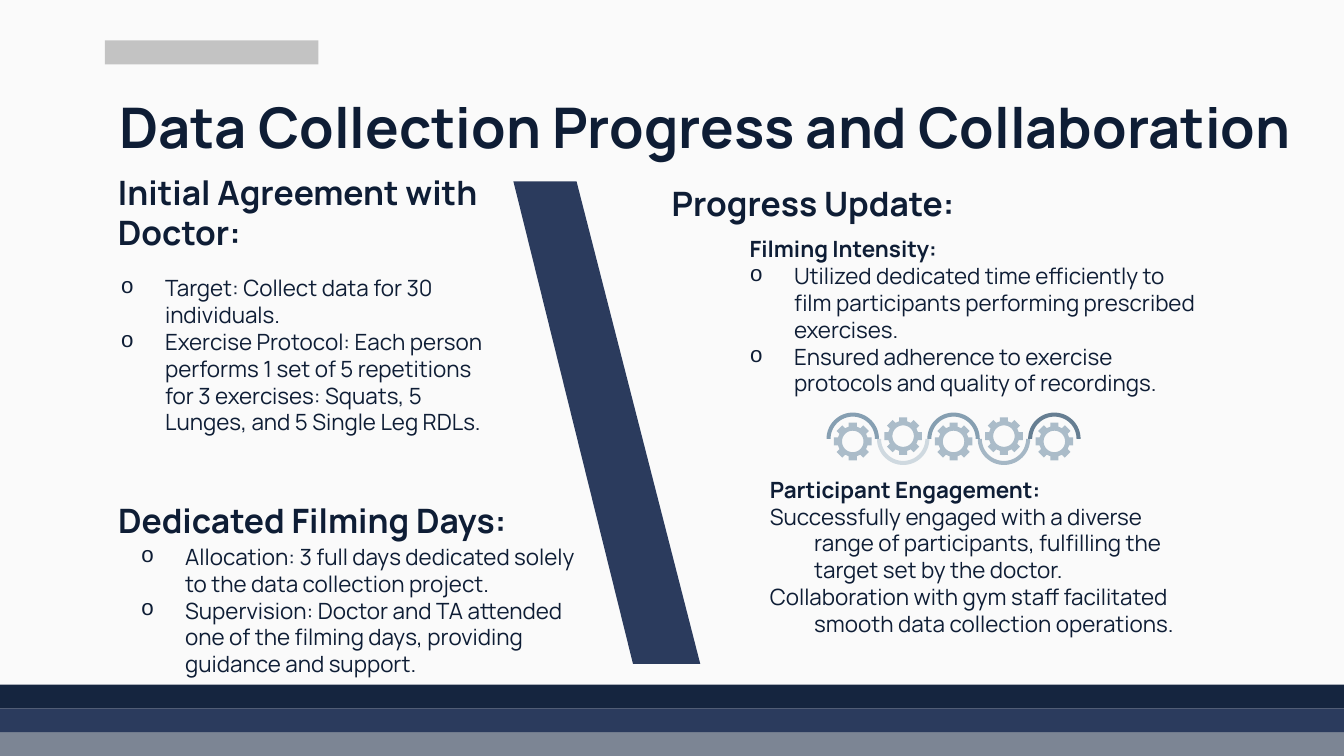
import math

from lxml import etree
from pptx import Presentation
from pptx.dml.color import RGBColor
from pptx.enum import shapes, text
from pptx.oxml.ns import qn
from pptx.util import Inches, Pt

FONT = "Manrope"
INK = "0E1D35"
NAVY = "2B3B5D"


def color(value):
    """Turn a hex string into a colour."""
    return RGBColor.from_string(value)


def paint(sp, fill):
    """Give a shape a flat fill with no line or shadow."""
    sp.shadow.inherit = False
    sp.fill.solid()
    sp.fill.fore_color.rgb = color(fill)
    sp.line.fill.background()


def add_bar(parent, x, y, w, h, fill):
    """Add a plain rectangle."""
    sp = parent.add_shape(shapes.MSO_SHAPE.RECTANGLE, Inches(x), Inches(y), Inches(w), Inches(h))
    paint(sp, fill)


def add_outline(parent, contours, fill):
    """Add a filled freeform made of closed contours."""
    contours = [[(Inches(x), Inches(y)) for x, y in points] for points in contours]
    builder = parent.build_freeform(*contours[0][0])
    for i, points in enumerate(contours):
        if i:
            builder.move_to(*points[0])
        builder.add_line_segments(points[1:], close=True)
    paint(builder.convert_to_shape(), fill)


def arc(cx, cy, radius, start, end, steps=32):
    """List points along an arc given in degrees."""
    angles = [math.radians(start + (end - start) * i / steps) for i in range(steps + 1)]
    return [(cx + radius * math.cos(a), cy + radius * math.sin(a)) for a in angles]


def add_bullet(p):
    """Put a round letter bullet on a paragraph."""
    pPr = p._p.get_or_add_pPr()
    clr = etree.SubElement(pPr, qn("a:buClr"))
    etree.SubElement(clr, qn("a:srgbClr")).set("val", INK)
    etree.SubElement(pPr, qn("a:buFont")).set("typeface", "Courier New")
    etree.SubElement(pPr, qn("a:buChar")).set("char", "o")


def add_text(s, box, lines, size, anchor=text.MSO_ANCHOR.TOP):
    """Add a text box from lines of wording, bold, hanging and bullet flags."""
    tf = s.shapes.add_textbox(*map(Inches, box)).text_frame
    tf.word_wrap = True
    tf.vertical_anchor = anchor
    tf.margin_left = tf.margin_right = tf.margin_top = tf.margin_bottom = Inches(0.1)
    for i, (wording, bold, hanging, bullet) in enumerate(lines):
        p = tf.add_paragraph() if i else tf.paragraphs[0]
        if hanging:
            pPr = p._p.get_or_add_pPr()
            pPr.set("marL", str(Inches(0.5)))
            pPr.set("indent", str(Inches(-0.33)))
        if bullet:
            add_bullet(p)
        r = p.add_run()
        r.text = wording
        r.font.name = FONT
        r.font.size = Pt(size)
        r.font.bold = bold
        r.font.color.rgb = color(INK)


def add_heading(s, box, wording, hanging=False):
    """Add a section heading that sits on the bottom of its box."""
    add_text(s, box, [(wording, True, hanging, False)], 18, text.MSO_ANCHOR.BOTTOM)


def add_body(s, box, items, lead=None, bullet=True):
    """Add hanging items, under a bold lead line if there is one."""
    lines = [(lead, True, True, False)] if lead else []
    add_text(s, box, lines + [(item, False, True, bullet) for item in items], 12)


def add_frame(s, w, h):
    """Add the top tab and the three bottom bands."""
    add_bar(s.shapes, 0.78, 0.3, 1.59, 0.18, "C3C3C3")
    bands = s.shapes.add_group_shape().shapes
    step = 0.53 / 3
    for i, fill in enumerate(("7C8594", NAVY, "15253F")):
        add_bar(bands, 0, h - step * (i + 1), w, step, fill)


def add_divider(s, x, y, w, h):
    """Add the slanted bar between the columns."""
    add_outline(s.shapes, [[(x, y), (x + 0.47, y), (x + w, y + h), (x + w - 0.5, y + h)]], NAVY)


def add_gear(parent, cx, cy):
    """Add a gear with eight teeth and a round hole."""
    rim = []
    for i in range(8):
        a = math.radians(45 * i)
        for out, side in ((0.11, -0.03), (0.14, -0.03), (0.14, 0.03), (0.11, 0.03)):
            rim.append((cx + out * math.cos(a) - side * math.sin(a),
                        cy + out * math.sin(a) + side * math.cos(a)))
    add_outline(parent, [rim, arc(cx, cy, 0.08, 360, 0)], "ABBCC9")


def add_gear_chain(s, x, y, w, h):
    """Add a row of gears under and over a wave of half rings."""
    chain = s.shapes.add_group_shape().shapes
    fills = ("869FB2", "CFD9E0", "869FB1", "A5B7C5", "667E92")
    outer, inner = h / 2, h / 2 - 0.03
    step = (w - 2 * outer) / (len(fills) - 1)
    cy = y + h / 2
    for i, fill in enumerate(fills):
        cx = x + outer + i * step
        turn = -180 if i % 2 else 180
        ring = arc(cx, cy, outer, turn, turn * 2) + arc(cx, cy, inner, turn * 2, turn)
        add_outline(chain, [ring], fill)
        add_gear(chain, cx, cy + (-0.02 if i % 2 else 0.02))


def add_left_column(s, x, y):
    """Add the agreement and the filming days."""
    add_heading(s, (x, y + 0.22, 3.16, 0.41), "Initial Agreement with Doctor:")
    add_body(s, (x - 0.15, y + 0.59, 3.11, 1.62), [
        "Target: Collect data for 30 individuals.",
        "Exercise Protocol: Each person performs 1 set of 5 repetitions for 3 exercises: "
        "Squats, 5 Lunges, and 5 Single Leg RDLs.",
    ])
    add_heading(s, (x, y + 2.36, 3.45, 0.41), "Dedicated Filming Days:")
    add_body(s, (x, y + 2.59, 3.73, 1.76), [
        "Allocation: 3 full days dedicated solely to the data collection project.",
        "Supervision: Doctor and TA attended one of the filming days, "
        "providing guidance and support.",
    ])


def add_right_column(s, x, y):
    """Add the progress update with its gear chain."""
    add_heading(s, (x, y, 2.56, 0.41), "Progress Update:", hanging=True)
    add_body(s, (x + 0.58, y + 0.3, 3.76, 1.62), [
        "Utilized dedicated time efficiently to film participants performing "
        "prescribed exercises.",
        "Ensured adherence to exercise protocols and quality of recordings.",
    ], lead="Filming Intensity:")
    add_gear_chain(s, x + 1.42, y + 1.72, 1.89, 0.39)
    add_body(s, (x + 0.73, y + 2.09, 3.61, 1.61), [
        "Successfully engaged with a diverse range of participants, fulfilling the "
        "target set by the doctor.",
        "Collaboration with gym staff facilitated smooth data collection operations.",
    ], lead="Participant Engagement:", bullet=False)


def main():
    """Build the slide and save it."""
    prs = Presentation()
    w = 10
    h = w * 9 / 16
    prs.slide_width, prs.slide_height = Inches(w), Inches(h)
    s = prs.slides.add_slide(prs.slide_layouts[6])
    s.background.fill.solid()
    s.background.fill.fore_color.rgb = color("FAFAFA")
    add_frame(s, w, h)
    add_text(s, (0.79, 0.59, 8.94, 0.63),
             [("Data Collection Progress and Collaboration", True, False, False)], 30)
    add_left_column(s, 0.78, 1.35)
    add_divider(s, 3.82, 1.35, 1.39, 3.59)
    add_right_column(s, 4.73, 1.35)
    prs.save("out.pptx")


if __name__ == "__main__":
    main()
